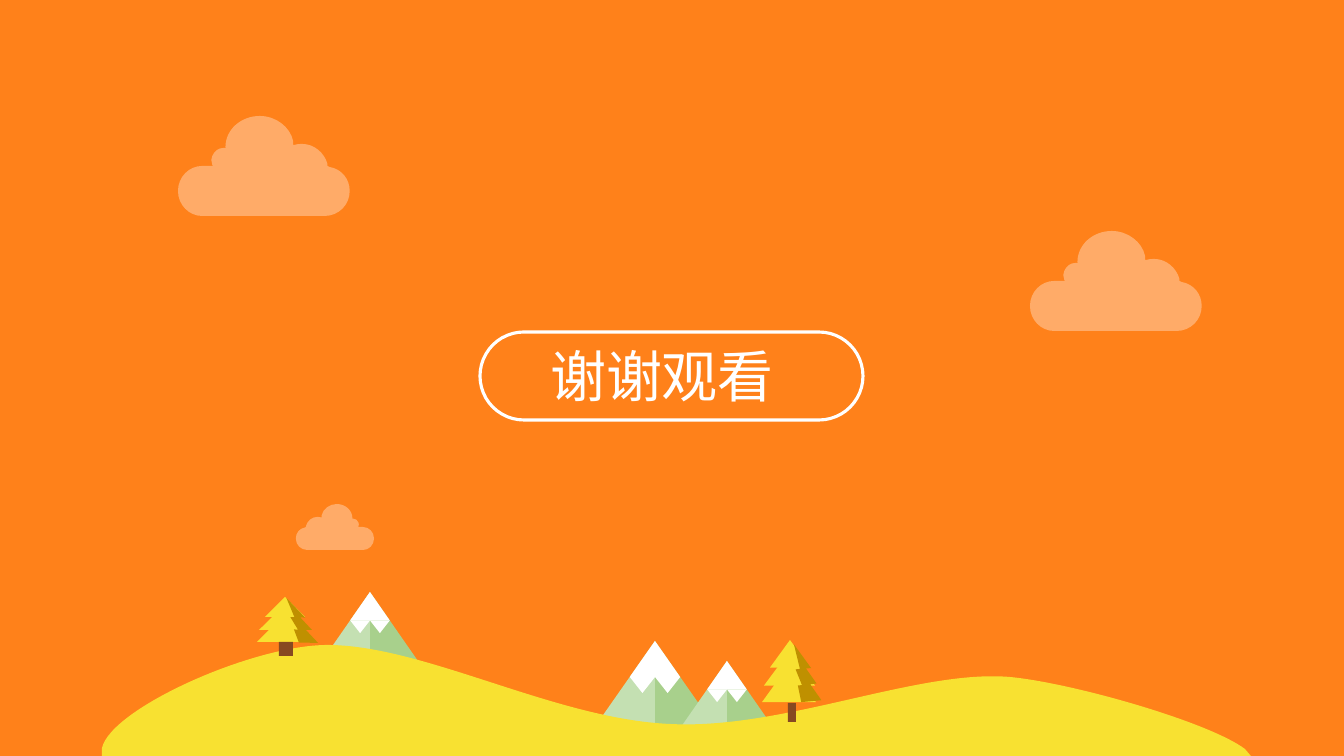
from lxml import etree
from pptx import Presentation
from pptx import util as u
from pptx.dml.color import RGBColor
from pptx.enum import shapes, text
from pptx.oxml.ns import qn

ORANGE = RGBColor(0xFF, 0x81, 0x1A)
YELLOW = RGBColor(0xF8, 0xE1, 0x31)
OCHRE = RGBColor(0xBF, 0x90, 0x00)
BROWN = RGBColor(0x87, 0x49, 0x21)
LIGHT_GREEN = RGBColor(0xC4, 0xE0, 0xB2)
GREEN = RGBColor(0xA8, 0xD0, 0x8C)
WHITE = RGBColor(0xFF, 0xFF, 0xFF)

SLIDE_SIZE = (1344, 756)
PX = 12192000 / SLIDE_SIZE[0]

CLOSING = "谢谢观看"
TITLE_BOX = (540, 336, 263, 79)
PILL_BOX = (480, 332, 383, 88)

# Mountains: peak x, peak y, half width, height
MOUNTAINS = [(655, 641, 70, 100), (727, 661, 55, 79), (370, 592, 55, 79)]
CAP_SHARE = 0.36
TOOTH_SHARE = 0.16

# Trees: left, top, height factor, trunk box
TREES = [
    (257, 597, 1, (279, 642, 14, 14)),
    (762, 640, 1.38, (788, 703, 8, 19)),
]
TIERS = [(8, 0, 40, 20), (0, 18, 54, 27), (2, 8, 51, 25)]
SHADE = (21, 8, 46, 37)
SHADE_TURN = 201.5

# Outlines: two numbers are a line end, six are a cubic curve
HILL = [
    (331, 645),
    (428, 647, 556, 719, 670, 724),
    (783, 730, 918, 669, 1010, 677),
    (1073, 683, 1209, 722, 1245, 749),
    (1251, 756), (102, 756), (102, 748),
    (111, 708, 257, 643, 331, 645),
]
CLOUD = [
    (81, 0), (97, 0, 111, 11, 114, 25), (114, 29), (115, 29),
    (118, 28, 120, 28, 123, 28), (135, 28, 145, 37, 148, 48),
    (148, 50), (150, 51), (162, 53, 170, 63, 170, 75),
    (170, 89, 159, 100, 145, 100), (24, 100),
    (11, 100, 0, 89, 0, 75), (0, 61, 11, 50, 24, 50),
    (35, 50), (34, 49), (33, 44), (34, 40),
    (36, 35, 40, 32, 45, 32), (48, 32), (47, 31),
    (47, 14, 62, 0, 81, 0),
]
# Clouds: x of the outline's origin, top, horizontal and vertical scale
CLOUDS = [(178, 116, 1.01, 1), (1030, 231, 1.01, 1),
          (374, 504, -0.46, 0.46)]
CLOUD_OPACITY = 34


def emu(*lengths):
    return [round(length * PX) for length in lengths]


def paint(shape, color):
    shape.shadow.inherit = False
    shape.fill.solid()
    shape.fill.fore_color.rgb = color
    shape.line.fill.background()
    return shape


def add_part(parent, kind, box, color, turn=0, mirrored=False):
    part = paint(parent.shapes.add_shape(kind, *emu(*box)), color)
    part.rotation = turn
    if mirrored:
        part.element.spPr.get_or_add_xfrm().set("flipH", "1")


def add_outline(page, outline, color, x=0, y=0, across=1, down=1):
    """Draw an outline moved to x, y and scaled, with true cubic curves."""
    steps = []
    for step in outline:
        pairs = zip(step[::2], step[1::2])
        steps.append([emu(x + px * across, y + py * down)
                      for px, py in pairs])
    ends = [step[-1] for step in steps]
    builder = page.shapes.build_freeform(*ends[0])
    builder.add_line_segments(ends[1:], close=True)
    shape = paint(builder.convert_to_shape(), color)
    lines = shape.element.findall(".//" + qn("a:lnTo"))
    for line, step in zip(lines, steps[1:]):
        if len(step) == 3:
            curve = etree.Element(qn("a:cubicBezTo"))
            for px, py in step:
                point = etree.SubElement(curve, qn("a:pt"))
                point.set("x", str(px - shape.left))
                point.set("y", str(py - shape.top))
            line.getparent().replace(line, curve)
    return shape


def add_mountain(page, x, y, half, height):
    group = page.shapes.add_group_shape()
    right_angle = shapes.MSO_SHAPE.RIGHT_TRIANGLE
    cap, cap_height = half * CAP_SHARE, height * CAP_SHARE
    for color, mirrored in ((GREEN, False), (LIGHT_GREEN, True)):
        left, cap_left = (x - half, x - cap) if mirrored else (x, x)
        add_part(group, right_angle, (left, y, half, height), color,
                 mirrored=mirrored)
        add_part(group, right_angle, (cap_left, y, cap, cap_height), WHITE,
                 mirrored=mirrored)
        add_part(group, shapes.MSO_SHAPE.ISOSCELES_TRIANGLE,
                 (cap_left, y + cap_height, cap, height * TOOTH_SHARE),
                 WHITE, turn=180, mirrored=mirrored)


def add_tree(page, left, top, stretch, trunk):
    group = page.shapes.add_group_shape()

    def place(x, y, width, height):
        return left + x, top + y * stretch, width, height * stretch

    for tier in TIERS:
        add_part(group, shapes.MSO_SHAPE.ISOSCELES_TRIANGLE, place(*tier),
                 YELLOW)
    add_part(group, shapes.MSO_SHAPE.LIGHTNING_BOLT, place(*SHADE), OCHRE,
             turn=SHADE_TURN)
    add_part(group, shapes.MSO_SHAPE.RECTANGLE, trunk, BROWN)


def add_cloud(page, x, y, across, down):
    cloud = add_outline(page, CLOUD, WHITE, x, y, across, down)
    tint = cloud.element.spPr.find(".//" + qn("a:srgbClr"))
    etree.SubElement(tint, qn("a:alpha")).set("val", str(CLOUD_OPACITY * 1000))


def add_pill(page):
    pill = page.shapes.add_shape(shapes.MSO_SHAPE.ROUNDED_RECTANGLE,
                                 *emu(*PILL_BOX))
    pill.adjustments[0] = 0.5
    pill.shadow.inherit = False
    pill.fill.background()
    pill.line.color.rgb = WHITE
    pill.line.width = u.Pt(2.25)


def set_title(page):
    title = page.shapes.title
    title.left, title.top, title.width, title.height = emu(*TITLE_BOX)
    frame = title.text_frame
    frame.text = CLOSING
    frame.word_wrap = False
    frame.auto_size = text.MSO_AUTO_SIZE.SHAPE_TO_FIT_TEXT
    frame.vertical_anchor = text.MSO_ANCHOR.TOP
    para = frame.paragraphs[0]
    para.alignment = text.PP_ALIGN.LEFT
    font = para.runs[0].font
    font.name, font.size = "Calibri", u.Pt(40)
    font.color.rgb = WHITE


def main():
    deck = Presentation()
    deck.slide_width, deck.slide_height = emu(*SLIDE_SIZE)
    page = deck.slides.add_slide(deck.slide_layouts[5])
    page.background.fill.solid()
    page.background.fill.fore_color.rgb = ORANGE
    set_title(page)
    for mountain in MOUNTAINS:
        add_mountain(page, *mountain)
    add_outline(page, HILL, YELLOW)
    add_pill(page)
    for tree in TREES:
        add_tree(page, *tree)
    for cloud in CLOUDS:
        add_cloud(page, *cloud)
    deck.save("out.pptx")


if __name__ == "__main__":
    main()
